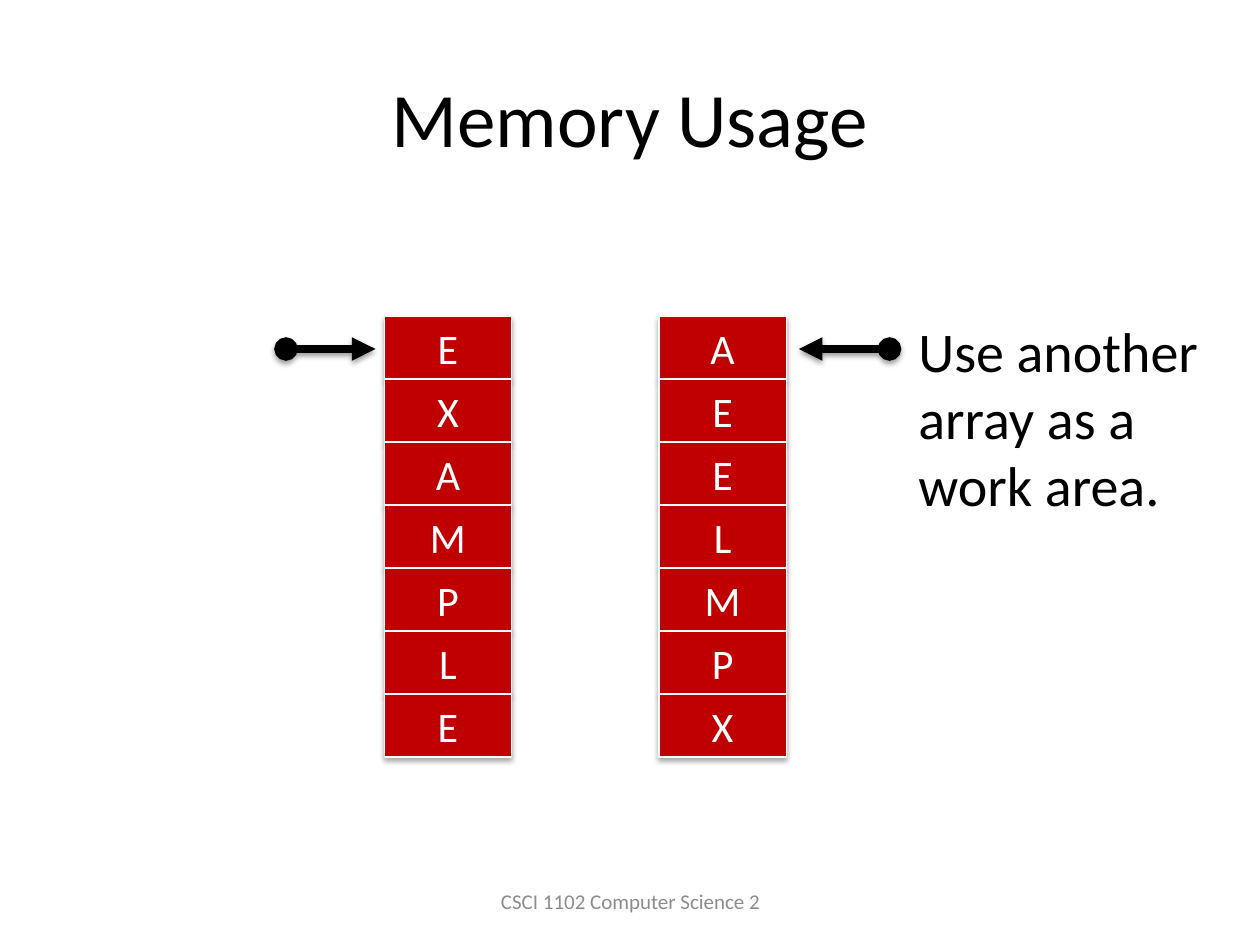
from lxml.etree import SubElement
from pptx import Presentation
from pptx.dml.color import RGBColor
from pptx.enum.shapes import MSO_CONNECTOR as Conn, MSO_SHAPE as Form
from pptx.enum.text import MSO_ANCHOR as Anchor, MSO_AUTO_SIZE as Fit, PP_ALIGN as Align
from pptx.oxml.ns import qn
from pptx.util import Inches, Pt

HUES = {"ink": "000000", "cell": "C00000", "rim": "FFFFFF", "foot": "8C8C8C"}
HUE = {name: RGBColor.from_string(code) for name, code in HUES.items()}


def write(shape, text, size=24, hue="ink", align=Align.CENTER, anchor=Anchor.MIDDLE):
    frame = shape.text_frame
    frame.word_wrap = True
    frame.vertical_anchor = anchor
    para = frame.paragraphs[0]
    para.alignment = align
    run = para.add_run()
    run.text = text
    run.font.name = "Calibri"
    run.font.size = Pt(size)
    run.font.color.rgb = HUE[hue]


def shade(shape, dist, alpha):
    effects = SubElement(shape._element.spPr, qn("a:effectLst"))
    outer = SubElement(effects, qn("a:outerShdw"), blurRad="40000", dist=str(Pt(dist)),
                       dir="5400000", rotWithShape="0")
    color = SubElement(outer, qn("a:srgbClr"), val=HUES["ink"])
    SubElement(color, qn("a:alpha"), val=str(alpha * 1000))


deck = Presentation()
deck.slide_width, deck.slide_height = Inches(10), Inches(7.5)
slide = deck.slides.add_slide(deck.slide_layouts[5])

title = slide.shapes.title
title.left, title.top = Inches(0.5), Inches(0.3)
title.width, title.height = Inches(9), Inches(1.25)
write(title, "Memory Usage", size=44)

foot = slide.shapes.add_textbox(Inches(3.42), Inches(6.95), Inches(3.17), Inches(0.4))
write(foot, "CSCI 1102 Computer Science 2", size=12, hue="foot")

top, wide, high = Inches(2.51), Inches(1.01), Inches(0.5)
mid = Inches(2.77)
stacks = [("EXAMPLE", 3.05, 2.27, 2.98), ("AEELMPX", 5.23, 7.06, 6.34)]

for word, left, start, end in stacks:
    group = slide.shapes.add_group_shape()
    for row, letter in enumerate(word):
        cell = group.shapes.add_shape(Form.RECTANGLE, Inches(left), top + row * high, wide, high)
        cell.fill.solid()
        cell.fill.fore_color.rgb = HUE["cell"]
        cell.line.color.rgb = HUE["rim"]
        cell.line.width = Pt(0.75)
        shade(cell, 1.8, 35)
        write(cell, letter, hue="rim")

    arrow = slide.shapes.add_connector(Conn.STRAIGHT, Inches(start), mid, Inches(end), mid)
    arrow.line.color.rgb = HUE["ink"]
    arrow.line.width = Pt(4.5)
    line = arrow.line._get_or_add_ln()
    SubElement(line, qn("a:headEnd"), type="oval")
    SubElement(line, qn("a:tailEnd"), type="triangle")
    shade(arrow, 1.6, 38)

note = slide.shapes.add_textbox(Inches(7.19), Inches(2.46), Inches(2.59), Inches(1.72))
write(note, "Use another array as a work area.", size=32, align=Align.LEFT, anchor=Anchor.TOP)
note.text_frame.auto_size = Fit.SHAPE_TO_FIT_TEXT

deck.save("out.pptx")
